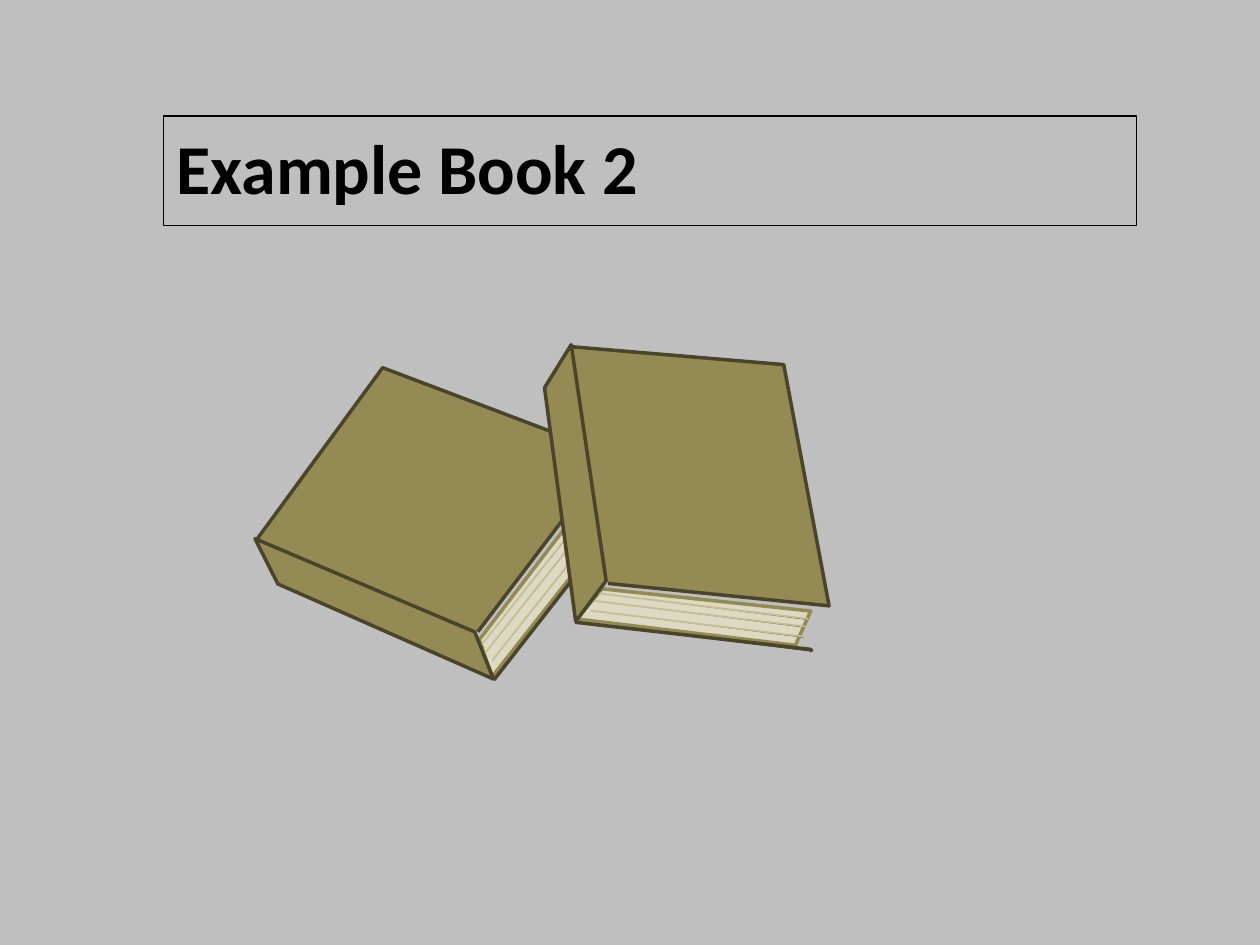
"""Build a slide with a framed title and two tilted books drawn from one set of parts."""
from dataclasses import dataclass
from math import cos, radians, sin

from pptx import Presentation, util as u
from pptx.dml.color import RGBColor
from pptx.enum import shapes, text

COLUMNS = 100
CELL = u.Inches(10) // COLUMNS


@dataclass(frozen=True)
class Theme:
    font: str = "Calibri"
    title_size: float = 40
    background: str = "BFBFBF"
    ink: str = "000000"
    cover: str = "948A54"
    outline: str = "4A452A"
    paper: str = "DDD9C3"
    page_line: str = "C4BD97"
    frame_width: float = 0.75
    thin: float = 1
    thick: float = 2


@dataclass(frozen=True)
class Part:
    """One outline, in grid cells, with its centre measured from the cover's centre."""
    center: tuple[float, float]
    points: tuple[tuple[float, float], ...]
    fill: str
    line: str
    width: float
    closed: bool = False


@dataclass(frozen=True)
class Book:
    column: float
    row: float
    angle: float


THEME = Theme()


def page_line(column: float, row: float) -> Part:
    return Part((column, row), ((0, 0), (14.7, 8.6), (14.7, 8.7)),
                THEME.outline, THEME.page_line, THEME.thin)


PARTS = (
    Part((-4.6, 10.2), ((15.1, 10.2), (17.3, 8.2), (2.8, 0), (0, 1.4)),
         THEME.paper, THEME.cover, THEME.thick, True),
    Part((0, 0), ((4.8, 0), (19.7, 8), (15.4, 27), (0, 18.4)),
         THEME.cover, THEME.outline, THEME.thick),
    Part((-5.3, 11.5), ((0, 0), (16.3, 9.4), (16.3, 9.6)),
         THEME.outline, THEME.outline, THEME.thick),
    page_line(-3.8, 9.5),
    page_line(-4.2, 10),
    Part((-9.2, -3.5), ((5.1, 2.3), (0, 20.3), (3.5, 18.3), (8.4, 0)),
         THEME.cover, THEME.outline, THEME.thick, True),
    page_line(-4.6, 10.7),
)
BOOKS = (Book(34.45, 39.7, 278), Book(55.35, 37.9, 336.6))


def cells(count: float) -> u.Emu:
    return u.Emu(round(count * CELL))


def color(value: str) -> RGBColor:
    return RGBColor.from_string(value)


def place(shape, left: float, top: float, width: float, height: float) -> None:
    shape.left, shape.top = cells(left), cells(top)
    shape.width, shape.height = cells(width), cells(height)


def set_line(shape, value: str, width: float) -> None:
    shape.shadow.inherit = False
    shape.line.color.rgb = color(value)
    shape.line.width = u.Pt(width)


def draw_part(slide, book: Book, part: Part) -> None:
    angle = radians(book.angle)
    x, y = part.center
    center_x = book.column + x * cos(angle) - y * sin(angle)
    center_y = book.row + x * sin(angle) + y * cos(angle)
    width, height = (max(values) for values in zip(*part.points))
    start, *rest = [(cells(across), cells(down)) for across, down in part.points]
    builder = slide.shapes.build_freeform(*start)
    builder.add_line_segments(rest, close=part.closed)
    shape = builder.convert_to_shape(cells(center_x - width / 2), cells(center_y - height / 2))
    shape.rotation = book.angle
    shape.fill.solid()
    shape.fill.fore_color.rgb = color(part.fill)
    set_line(shape, part.line, part.width)


def draw_title(slide, wording: str) -> None:
    frame = slide.shapes.add_shape(shapes.MSO_SHAPE.RECTANGLE, 0, 0, 0, 0)
    place(frame, 13, 9.2, 77.2, 8.7)
    frame.fill.background()
    set_line(frame, THEME.ink, THEME.frame_width)
    title = slide.shapes.title
    place(title, 13, 9.4, 72.4, 7.7)
    title.text_frame.text = wording
    title.text_frame.word_wrap = True
    title.text_frame.auto_size = text.MSO_AUTO_SIZE.SHAPE_TO_FIT_TEXT
    title.text_frame.vertical_anchor = text.MSO_ANCHOR.TOP
    paragraph = title.text_frame.paragraphs[0]
    paragraph.alignment = text.PP_ALIGN.LEFT
    paragraph.font.name = THEME.font
    paragraph.font.size = u.Pt(THEME.title_size)
    paragraph.font.bold = True
    paragraph.font.color.rgb = color(THEME.ink)


def main() -> None:
    presentation = Presentation()
    presentation.slide_width, presentation.slide_height = cells(COLUMNS), cells(75)
    slide = presentation.slides.add_slide(presentation.slide_layouts.get_by_name("Title Only"))
    slide.background.fill.solid()
    slide.background.fill.fore_color.rgb = color(THEME.background)
    draw_title(slide, "Example Book 2")
    for book in BOOKS:
        for part in PARTS:
            draw_part(slide, book, part)
    presentation.save("out.pptx")


if __name__ == "__main__":
    main()
